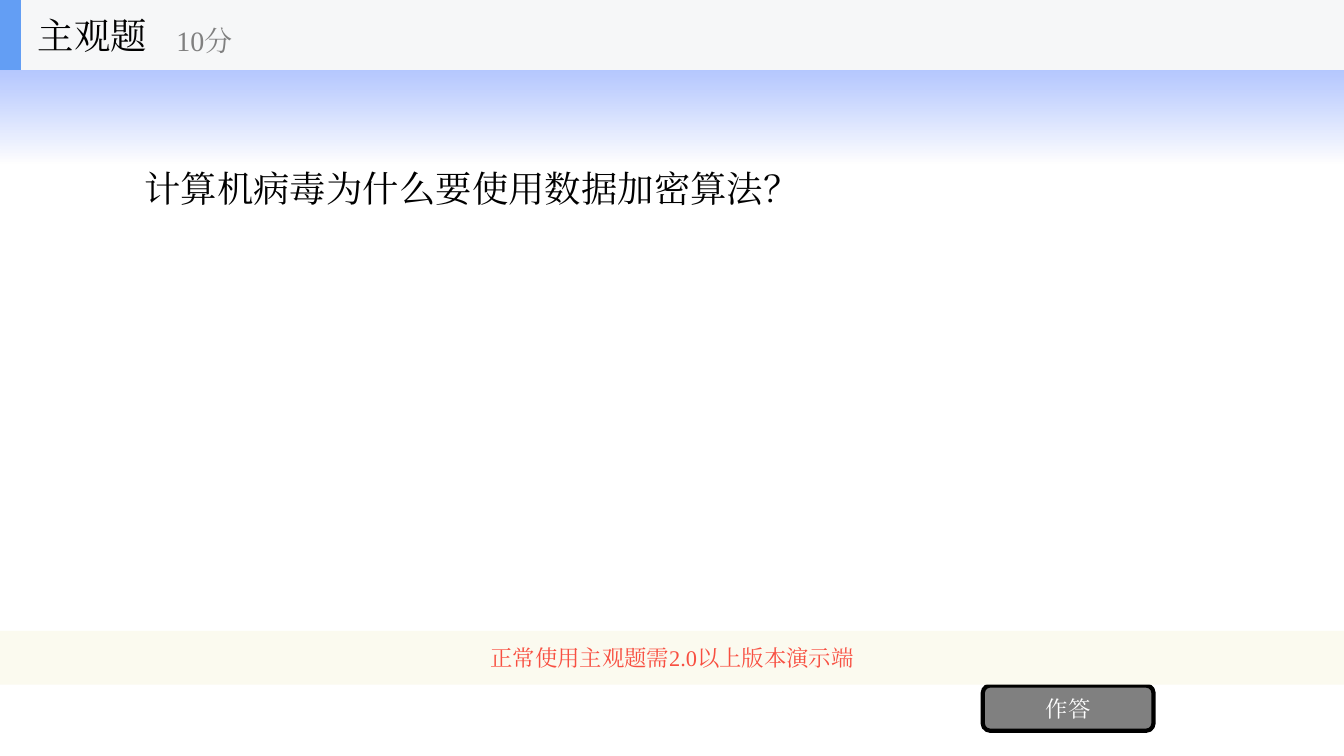
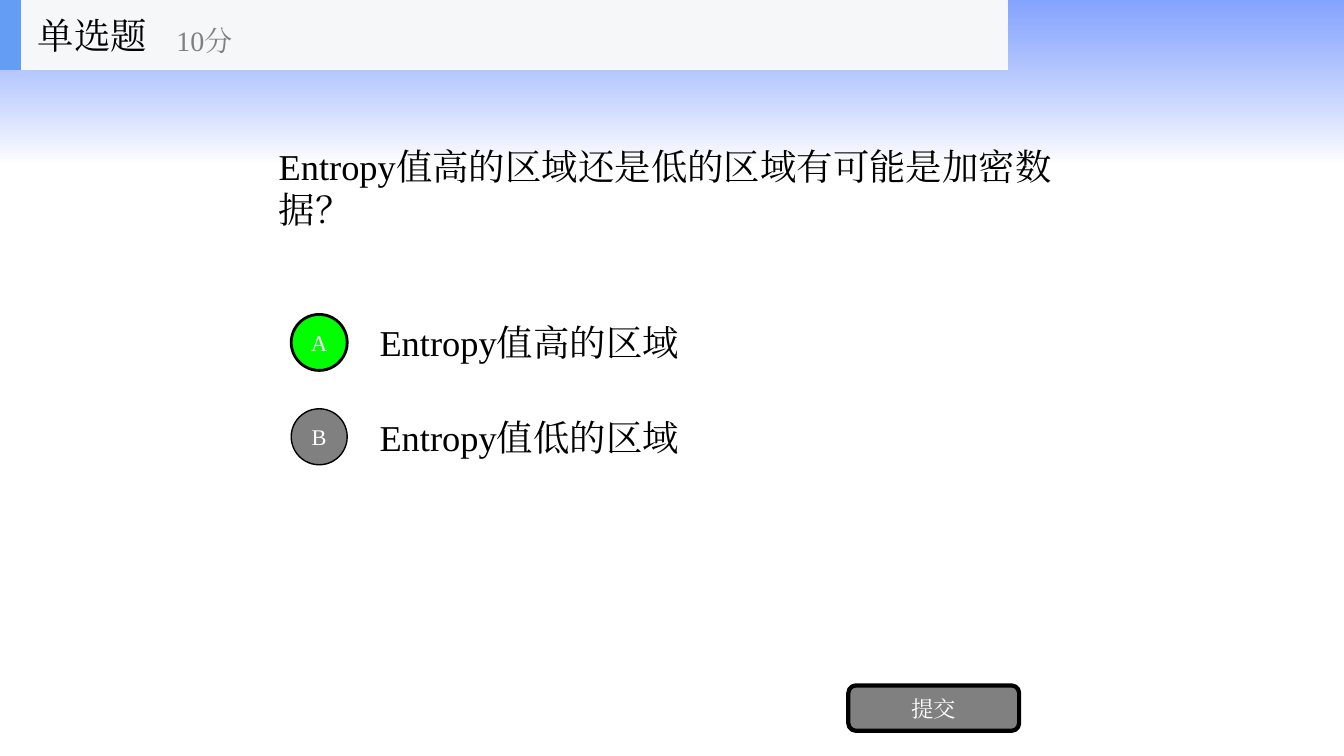
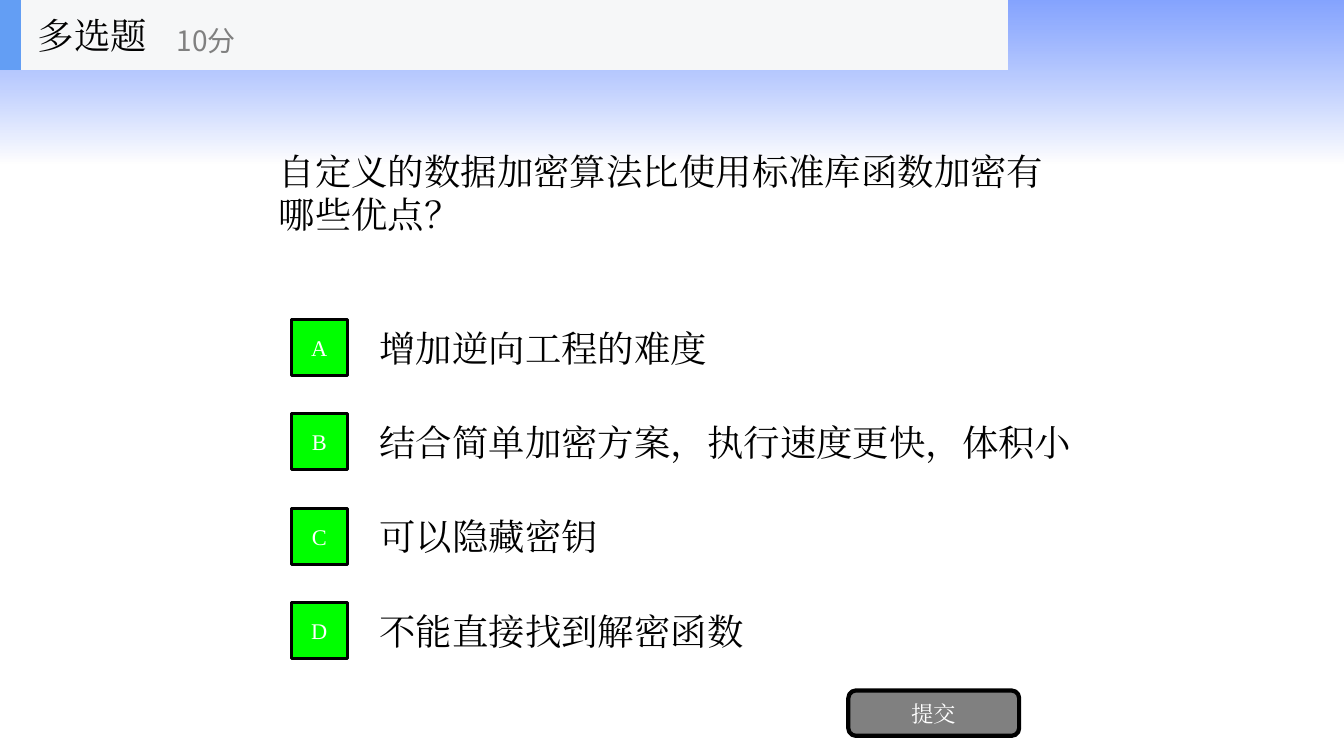
from lxml.etree import SubElement
from pptx import Presentation
from pptx.dml.color import RGBColor
from pptx.enum.lang import MSO_LANGUAGE_ID as LANG
from pptx.enum.shapes import MSO_SHAPE as SHAPE
from pptx.enum.text import MSO_ANCHOR as ANCHOR, PP_ALIGN as ALIGN
from pptx.oxml.ns import qn
from pptx.util import Pt

WIDTH, HEIGHT = 960, 540
SERIF, SANS = "Times New Roman", "Noto Sans CJK SC"
BLACK, WHITE, GRAY = "000000", "FFFFFF", "808080"
BLUE, PALE, GREEN = "639EF4", "F6F7F8", "00FF00"
CREAM, RED = "FBFAEF", "F84F41"
SKY = [("3366FF", 60), (WHITE, 70)]
SKY_HEIGHT, HEADER_HEIGHT = 116.6, 50
OPTION_TOP, OPTION_PITCH, MARK_SIZE, OPTION_HEIGHT = 224.6, 67.4, 40, 50

QUESTIONS = [
    dict(kind="主观题", header_width=WIDTH, shift=0, question_left=96,
         question="计算机病毒为什么要使用数据加密算法？",
         button="作答", button_left=702,
         notice="正常使用主观题需2.0以上版本演示端"),
    dict(kind="单选题", header_width=720, shift=0, question_left=192,
         question="Entropy值高的区域还是低的区域有可能是加密数据？",
         button="提交", button_left=606, mark=SHAPE.OVAL,
         options=[("Entropy值高的区域", True), ("Entropy值低的区域", False)]),
    dict(kind="多选题", header_width=720, shift=3.6, question_left=192,
         question="自定义的数据加密算法比使用标准库函数加密有哪些优点？",
         button="提交", button_left=606, mark=SHAPE.RECTANGLE, score_font=SANS,
         options=[("增加逆向工程的难度", True),
                  ("结合简单加密方案，执行速度更快，体积小", True),
                  ("可以隐藏密钥", True),
                  ("不能直接找到解密函数", True)]),
]


def rgb(color):
    return RGBColor.from_string(color)


def add_shape(s, kind, box, fill=None, line=0):
    sp = s.shapes.add_shape(kind, *map(Pt, box))
    sp.shadow.inherit = False
    if fill:
        sp.fill.solid()
        sp.fill.fore_color.rgb = rgb(fill)
    if line:
        sp.line.color.rgb = rgb(BLACK)
        sp.line.width = Pt(line)
    else:
        sp.line.fill.background()
    return sp


def write(sp, text, size=26, color=BLACK, font=SERIF, align=ALIGN.LEFT):
    tf = sp.text_frame
    tf.word_wrap = True
    tf.vertical_anchor = ANCHOR.MIDDLE
    p = tf.paragraphs[0]
    p.alignment = align
    r = p.add_run()
    r.text = text
    r.font.size = Pt(size)
    r.font.name = font
    r.font.language_id = LANG.SIMPLIFIED_CHINESE
    r.font.color.rgb = rgb(color)
    SubElement(r.font._element, qn("a:ea"), typeface=font)


def add_text(s, text, box, **style):
    write(s.shapes.add_textbox(*map(Pt, box)), text, **style)


def add_label(s, kind, text, box, fill, line=0, color=WHITE):
    sp = add_shape(s, kind, box, fill, line)
    write(sp, text, size=16, color=color, align=ALIGN.CENTER)


def add_sky(s):
    sp = add_shape(s, SHAPE.RECTANGLE, (0, 0, WIDTH, SKY_HEIGHT))
    sp.fill.gradient()
    sp.fill.gradient_angle = 270
    for stop, (color, _) in zip(sp.fill.gradient_stops, SKY):
        stop.color.rgb = rgb(color)
    for clr, (_, opacity) in zip(sp._element.iter(qn("a:srgbClr")), SKY):
        SubElement(clr, qn("a:alpha"), val=str(opacity * 1000))


def add_header(s, kind, width, font):
    add_shape(s, SHAPE.RECTANGLE, (0, 0, width, HEADER_HEIGHT), PALE)
    add_shape(s, SHAPE.RECTANGLE, (0, 0, 15, HEADER_HEIGHT), BLUE)
    add_text(s, kind, (20, 0, 150, HEADER_HEIGHT))
    add_text(s, "10分", (119, 8.6, 180, 40), size=20, color=GRAY, font=font)


def add_options(s, options, mark, top):
    for i, (text, correct) in enumerate(options):
        y = top + i * OPTION_PITCH
        text_top = y - (OPTION_HEIGHT - MARK_SIZE) / 2
        add_text(s, text, (264, text_top, 517, OPTION_HEIGHT))
        add_label(s, mark, "ABCD"[i], (208, y, MARK_SIZE, MARK_SIZE),
                  GREEN if correct else GRAY, 2 if correct else 1)


def main():
    prs = Presentation()
    prs.slide_width, prs.slide_height = Pt(WIDTH), Pt(HEIGHT)
    for q in QUESTIONS:
        s = prs.slides.add_slide(prs.slide_layouts[6])
        left, shift = q["question_left"], q["shift"]
        add_sky(s)
        add_text(s, q["question"], (left, 49.7 + shift, WIDTH - 2 * left, 168.5))
        add_options(s, q.get("options", []), q.get("mark"), OPTION_TOP + shift)
        add_label(s, SHAPE.ROUNDED_RECTANGLE, q["button"],
                  (q["button_left"], 489.6 + shift, 122, 32.4), GRAY, 3)
        if "notice" in q:
            add_label(s, SHAPE.RECTANGLE, q["notice"],
                      (0, 450.7, WIDTH, 38.4), CREAM, color=RED)
        add_header(s, q["kind"], q["header_width"], q.get("score_font", SERIF))
    prs.save("out.pptx")


if __name__ == "__main__":
    main()
